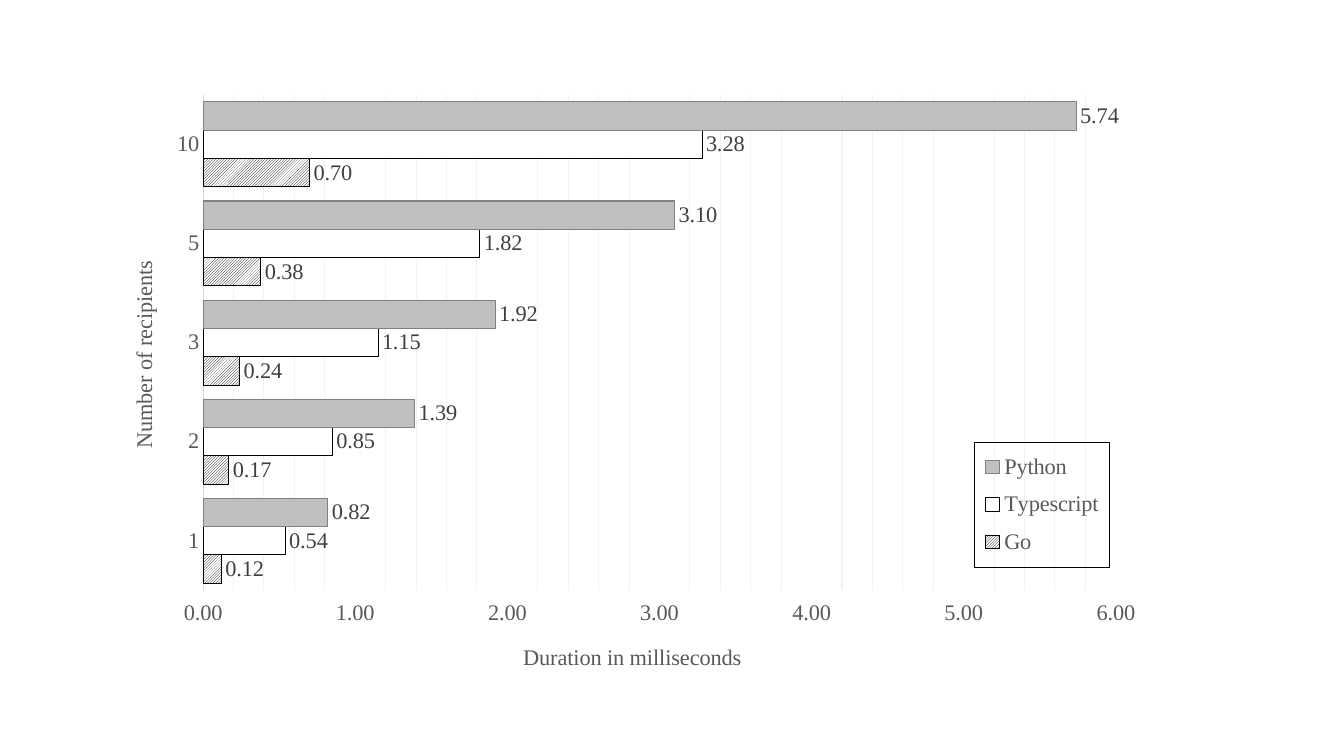
"""Build a slide with a bar chart of duration by number of recipients and language."""
import lxml.etree
import pptx
import pptx.chart.data
import pptx.dml.color
import pptx.enum.chart
import pptx.enum.dml
import pptx.oxml
import pptx.oxml.ns
import pptx.util

FONT = "Times New Roman"
GREY = "595959"
qn = pptx.oxml.ns.qn
Cm = pptx.util.Cm
Pt = pptx.util.Pt


def color(value):
    return pptx.dml.color.RGBColor.from_string(value)


def add_axis_title(axis, text, *, size=16, ink=GREY, rotation=0):
    paragraph = axis.axis_title.text_frame.paragraphs[0]
    run = paragraph.add_run()
    run.text = text
    run.font.name, run.font.size, run.font.bold = FONT, Pt(size), False
    run.font.color.rgb = color(ink)
    body = axis.axis_title._element.find(".//" + qn("a:bodyPr"))
    body.set("rot", str(rotation * 60000))
    body.set("vert", "horz")


presentation = pptx.Presentation()
presentation.slide_width, presentation.slide_height = Cm(33.87), Cm(19.05)
slide = presentation.slides.add_slide(presentation.slide_layouts[6])

durations = pptx.chart.data.CategoryChartData(number_format="0.00")
durations.categories = ["1", "2", "3", "5", "10"]
durations.add_series("Go", [0.12, 0.17, 0.24, 0.38, 0.70])
durations.add_series("Typescript", [0.54, 0.85, 1.15, 1.82, 3.28])
durations.add_series("Python", [0.82, 1.39, 1.92, 3.10, 5.74])

chart = slide.shapes.add_chart(
    pptx.enum.chart.XL_CHART_TYPE.BAR_CLUSTERED,
    Cm(2.9), Cm(2), Cm(26.11), Cm(15.06), durations).chart
chart.has_title = False
chart.font.name, chart.font.size = FONT, Pt(16)
chart.font.color.rgb = color("000000")

plot = chart.plots[0]
plot.gap_width, plot.overlap, plot.vary_by_categories = 50, 0, False
styles = [(None, "000000"), ("FFFFFF", "000000"), ("BFBFBF", "808080")]
for series, (fill_color, line_color) in zip(plot.series, styles):
    series.invert_if_negative = False
    fill = series.format.fill
    if fill_color:
        fill.solid()
        fill.fore_color.rgb = color(fill_color)
    else:
        fill.patterned()
        fill.pattern = pptx.enum.dml.MSO_PATTERN.LIGHT_UPWARD_DIAGONAL
        fill.fore_color.rgb, fill.back_color.rgb = color("000000"), color("FFFFFF")
    series.format.line.color.rgb = color(line_color)
    series.format.line.width = Pt(0.75)
    labels = series.data_labels
    labels.show_value = True
    labels.number_format, labels.number_format_is_linked = "0.00", False
    labels.position = pptx.enum.chart.XL_LABEL_POSITION.OUTSIDE_END
    labels.font.name, labels.font.size = FONT, Pt(16)
    labels.font.color.rgb = color("404040")

recipients, duration = chart.category_axis, chart.value_axis
tick_mark = pptx.enum.chart.XL_TICK_MARK
for axis in (recipients, duration):
    axis.has_major_gridlines = False
    axis.major_tick_mark = axis.minor_tick_mark = tick_mark.NONE
    axis.tick_labels.font.name, axis.tick_labels.font.size = FONT, Pt(16)
    axis.tick_labels.font.color.rgb = color(GREY)
recipients.format.line.color.rgb = color("D9D9D9")
recipients.format.line.width = Pt(0.75)
duration.format.line.fill.background()
duration.major_tick_mark = tick_mark.OUTSIDE
duration.minimum_scale, duration.maximum_scale = 0, 6
duration.major_unit, duration.minor_unit = 1, 0.2
duration.tick_labels.number_format = "0.00"
duration.tick_labels.number_format_is_linked = False
duration.has_minor_gridlines = True
add_axis_title(recipients, "Number of recipients", rotation=-90)
add_axis_title(duration, "Duration in milliseconds")

chart.has_legend = True
legend = chart.legend
legend.position = pptx.enum.chart.XL_LEGEND_POSITION.RIGHT
legend.include_in_layout = False
legend.font.name, legend.font.size = FONT, Pt(16)
legend.font.color.rgb = color(GREY)

gridlines = duration._element.find(qn("c:minorGridlines"))
legend_overlay = legend._element.find(qn("c:overlay"))
for attach, line_color in ((gridlines.append, "F2F2F2"), (legend_overlay.addnext, "000000")):
    attach(pptx.oxml.parse_xml(
        f'<c:spPr {pptx.oxml.ns.nsdecls("c", "a")}><a:ln w="{Pt(0.75)}"><a:solidFill>'
        f'<a:srgbClr val="{line_color}"/></a:solidFill></a:ln></c:spPr>'))

layouts = [
    (chart._chartSpace.find(".//" + qn("c:plotArea")), 0,
     {"layoutTarget": "inner", "x": 0.085, "y": 0.026, "w": 0.881, "h": 0.833}),
    (recipients.axis_title._element, 1, {"x": 0.01, "y": 0.3}),
    (duration.axis_title._element, 1, {"x": 0.39, "y": 0.94}),
    (legend._element, 1, {"x": 0.83, "y": 0.61, "w": 0.13, "h": 0.21}),
]
for element, position, values in layouts:
    for automatic in element.findall(qn("c:layout")):
        element.remove(automatic)
    layout = pptx.oxml.parse_xml(f'<c:layout {pptx.oxml.ns.nsdecls("c")}/>')
    manual = lxml.etree.SubElement(layout, qn("c:manualLayout"))
    modes = {key + "Mode": "edge" for key in "xy"}
    target = {key: value for key, value in values.items() if key == "layoutTarget"}
    for key, value in {**target, **modes, **values}.items():
        lxml.etree.SubElement(manual, qn("c:" + key)).set("val", str(value))
    element.insert(position, layout)

presentation.save("out.pptx")
